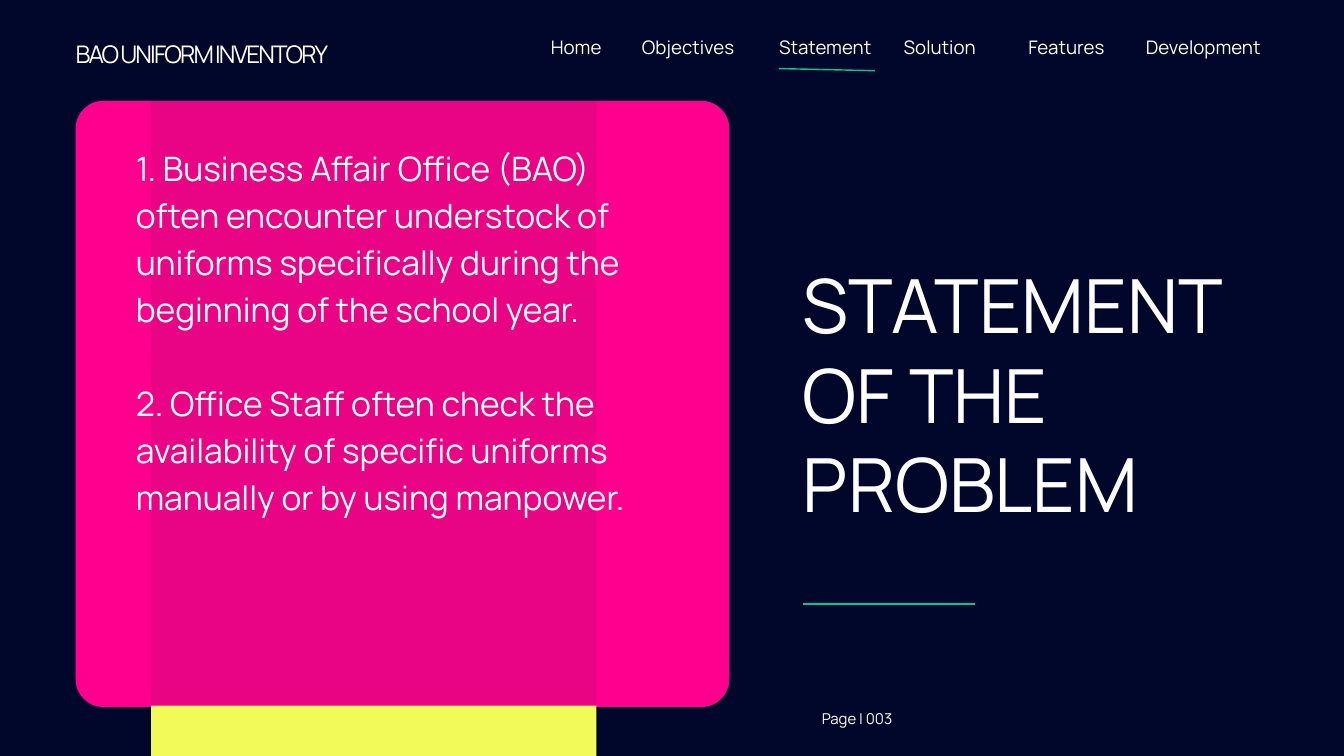
from lxml.etree import SubElement
from pptx import Presentation
from pptx.dml.color import RGBColor as RGB
from pptx.enum.shapes import MSO_CONNECTOR as LINE, MSO_SHAPE as SHAPE
from pptx.enum.text import MSO_ANCHOR as ANCHOR, MSO_AUTO_SIZE as FIT, PP_ALIGN as ALIGN
from pptx.oxml.ns import qn
from pptx.util import Pt

PX = 9525  # 96 px to the inch

THEME = {
    "font": "Manrope",
    "navy": RGB(0x00, 0x07, 0x2B),
    "pink": RGB(0xFF, 0x00, 0x8E),
    "slate": RGB(0x25, 0x2A, 0x34),
    "yellow": RGB(0xF2, 0xFA, 0x5A),
    "green": RGB(0x00, 0xC8, 0x97),
    "white": RGB(0xFF, 0xFF, 0xFF),
    # (type size, line spacing) in points
    "title": (80, 96),
    "body": (36, 50.4),
    "brand": (26, 28.4),
    "nav": (20, 20),
    "page": (16, 22.4),
}


def place(shape, left, top, width, height):
    box = {"left": left, "top": top, "width": width, "height": height}
    for side, length in box.items():
        setattr(shape, side, length * PX)


def write(shape, style, *paragraphs):
    size, leading = THEME[style]
    frame = shape.text_frame
    frame_format = {
        "margin_left": 0, "margin_top": 0, "margin_right": 0, "margin_bottom": 0,
        "word_wrap": True, "vertical_anchor": ANCHOR.TOP, "auto_size": FIT.SHAPE_TO_FIT_TEXT,
    }
    for name, value in frame_format.items():
        setattr(frame, name, value)
    frame.text = "\n".join(paragraphs)
    for index, paragraph in enumerate(frame.paragraphs):
        paragraph.alignment = ALIGN.LEFT
        paragraph.line_spacing = Pt(leading)
        if index:
            paragraph.space_before = Pt(leading)
        font = paragraph.runs[0].font
        for name, value in {"name": THEME["font"], "size": Pt(size)}.items():
            setattr(font, name, value)
        font.color.rgb = THEME["white"]


deck = Presentation()
deck.slide_width, deck.slide_height = 1920 * PX, 1080 * PX
slide = deck.slides.add_slide(deck.slide_layouts[5])
shapes = slide.shapes
slide.background.fill.solid()
slide.background.fill.fore_color.rgb = THEME["navy"]

# Pink card, its darker band, and the yellow strip below the band
panels = [
    (SHAPE.ROUNDED_RECTANGLE, "pink", (108, 144, 934, 866)),
    (SHAPE.RECTANGLE, "slate", (216, 144, 636, 864)),
    (SHAPE.RECTANGLE, "yellow", (216, 1008, 636, 134)),
]
drawn = []
for kind, colour, box in panels:
    panel = shapes.add_shape(kind, *(length * PX for length in box))
    panel.shadow.inherit = False
    panel.fill.solid()
    panel.fill.fore_color.rgb = THEME[colour]
    panel.line.fill.background()
    drawn.append(panel)
card, band, strip = drawn
card.adjustments[0] = 40 / 866
band_colour = band.fill._xPr.find(qn("a:solidFill"))[0]
SubElement(band_colour, qn("a:alpha"), val="10000")

# Green rules: under the title and under the current section
rules = [
    ((1147, 863, 1393, 863), 2.25),
    ((1113, 98, 1250, 101), 1.5),
]
for ends, weight in rules:
    rule = shapes.add_connector(LINE.STRAIGHT, *(length * PX for length in ends))
    rule.line.color.rgb = THEME["green"]
    rule.line.width = Pt(weight)
    SubElement(rule._element.spPr, qn("a:effectLst"))

# Title
title = shapes.title
place(title, 1147, 370, 704, 521)
write(title, "title", "STATEMENT OF THE PROBLEM")

# Problem statements, page number and project name
texts = [
    ("body", (194, 202, 721, 738), (
        "1. Business Affair Office (BAO) often encounter understock of uniforms "
        "specifically during the beginning of the school year.",
        "2. Office Staff often check the availability of specific uniforms "
        "manually or by using manpower.",
    )),
    ("page", (1174, 1009, 160, 30), ("Page | 003",)),
    ("brand", (108, 60, 446, 38), ("BAO UNIFORM INVENTORY",)),
]

# Navigation
sections = [
    ("Home", 787, 131), ("Objectives", 917, 169), ("Statement", 1113, 151),
    ("Solution", 1291, 151), ("Features", 1469, 141), ("Development", 1637, 189),
]
texts += [("nav", (left, 56, width, 31), (section,)) for section, left, width in sections]

for style, box, paragraphs in texts:
    label = shapes.add_textbox(*(length * PX for length in box))
    write(label, style, *paragraphs)
    if style == "brand":
        label.text_frame.paragraphs[0].runs[0].font._element.set("spc", "-200")

deck.save("out.pptx")
